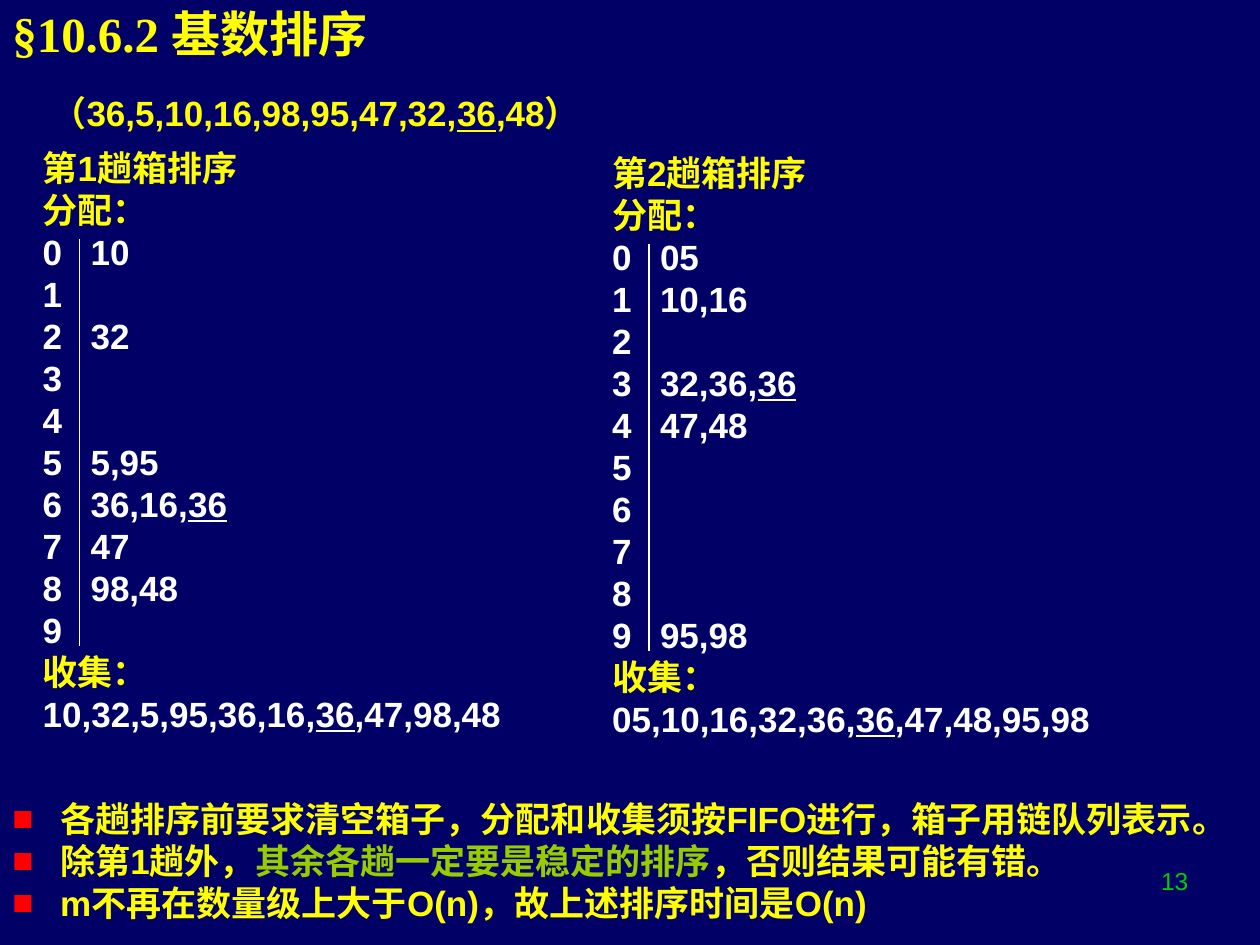
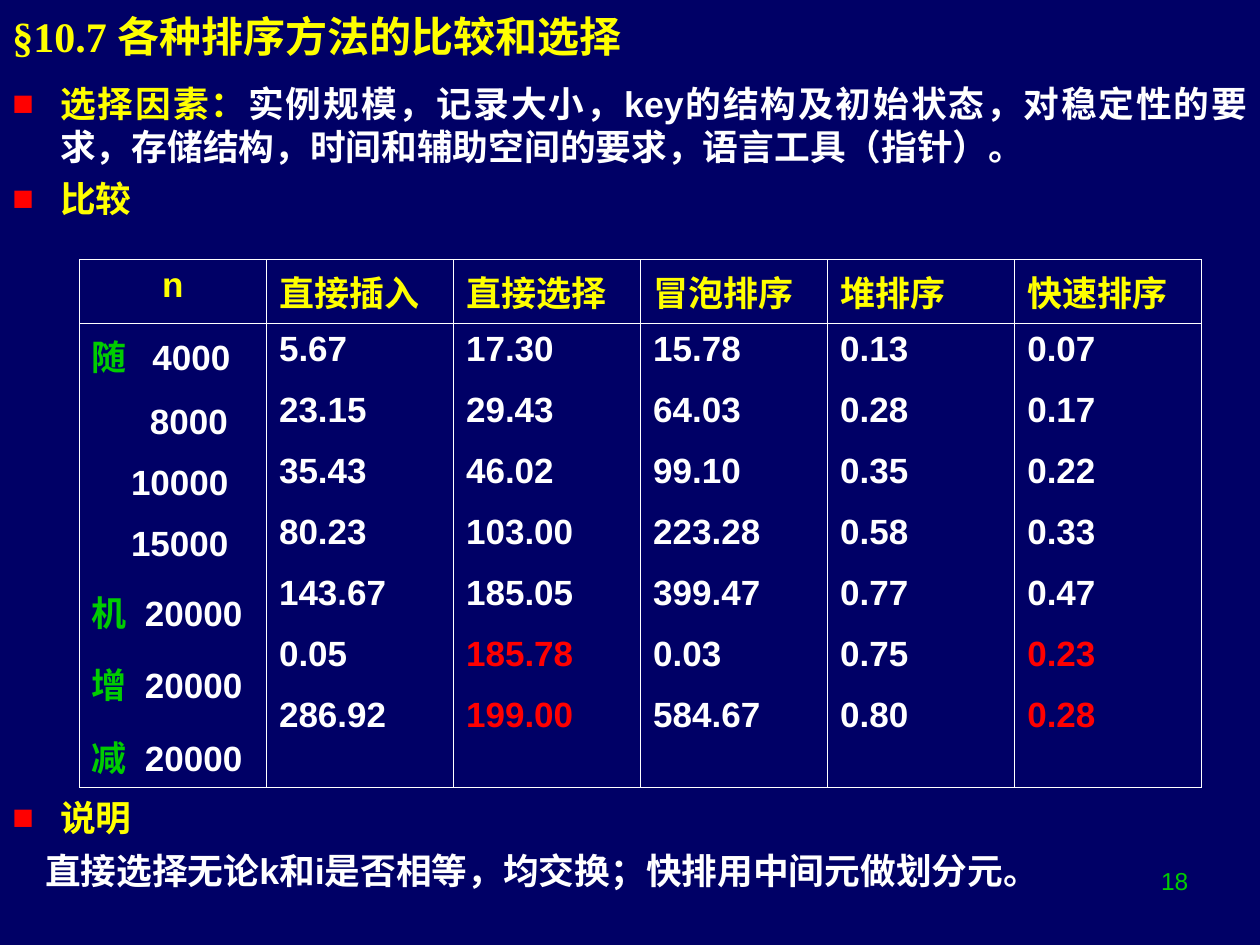
import lxml.etree
import pptx
import pptx.dml.color
import pptx.enum.shapes
import pptx.enum.text
import pptx.oxml.ns
import pptx.util

PX = 9144  # 100 px to the inch
COLORS = {
    "back": "000066",
    "yellow": "FFFF00",
    "white": "FFFFFF",
    "green": "00CC00",
    "lime": "99CC00",
    "red": "FF0000",
}
RGB = {name: pptx.dml.color.RGBColor.from_string(c) for name, c in COLORS.items()}
ALIGN = pptx.enum.text.PP_ALIGN
MIDDLE = pptx.enum.text.MSO_ANCHOR.MIDDLE
STRAIGHT = pptx.enum.shapes.MSO_CONNECTOR.STRAIGHT
Pt = pptx.util.Pt
qn = pptx.oxml.ns.qn
sub = lxml.etree.SubElement


def add_box(s, x, y, w, h):
    tf = s.shapes.add_textbox(x * PX, y * PX, w * PX, h * PX).text_frame
    tf.word_wrap = True
    return tf


def add_par(tf, *runs, size=20, font="Arial", bold=True, align=ALIGN.LEFT,
            before=0, after=0, left=0, hang=0, bullet=False):
    """Each run is (text, colour); a part between underscores is underlined."""
    p = tf.paragraphs[0] if not tf.paragraphs[0].runs else tf.add_paragraph()
    p.alignment = align
    p.space_before, p.space_after = Pt(before), Pt(after)
    if bullet:
        left = hang = 38
    pPr = p._p.get_or_add_pPr()
    pPr.set("marL", str(left * PX))
    pPr.set("indent", str(-hang * PX))
    pPr.set("hangingPunct", "0")
    if bullet:
        sub(sub(pPr, qn("a:buClr")), qn("a:srgbClr"), val=COLORS["red"])
        sub(pPr, qn("a:buFont"), typeface="Arial")
        sub(pPr, qn("a:buChar"), char="■")
    else:
        sub(pPr, qn("a:buNone"))
    for text, color in runs:
        for i, part in enumerate(text.split("_")):
            if part:
                r = p.add_run()
                r.text = part
                r.font.name, r.font.size, r.font.bold = font, Pt(size), bold
                r.font.color.rgb = RGB[color]
                if i % 2:
                    r.font.underline = True


prs = pptx.Presentation()
prs.slide_width, prs.slide_height = 1000 * PX, 750 * PX

# Shared parts: background, slide number, title
slides = []
for number, title, size, height in [
    ("13", "§10.6.2 基数排序", 28, 52),
    ("18", "§10.7 各种排序方法的比较和选择", 24, 56),
]:
    s = prs.slides.add_slide(prs.slide_layouts[6])
    s.background.fill.solid()
    s.background.fill.fore_color.rgb = RGB["back"]
    add_par(add_box(s, 720, 682, 233, 52), (number, "green"),
            size=14, bold=False, align=ALIGN.RIGHT)
    tf = add_box(s, 0, 0, 804, height)
    tf.vertical_anchor = MIDDLE
    add_par(tf, (title, "yellow"), size=size, font="Times New Roman")
    slides.append(s)
radix, compare = slides

# Radix sort: input and the two passes
add_par(add_box(radix, 31, 68, 571, 44),
        ("（36,5,10,16,98,95,47,32,_36_,48）", "yellow"))
passes = [
    (24, 111, "第1趟箱排序",
     {0: "10", 2: "32", 5: "5,95", 6: "36,16,_36_", 7: "47", 8: "98,48"},
     "10,32,5,95,36,16,_36_,47,98,48"),
    (476, 115, "第2趟箱排序",
     {0: "05", 1: "10,16", 3: "32,36,_36_", 4: "47,48", 9: "95,98"},
     "05,10,16,32,36,_36_,47,48,95,98"),
]
for x, y, heading, bins, collected in passes:
    tf = add_box(radix, x, y, 402, 477)
    add_par(tf, (heading, "yellow"))
    add_par(tf, ("分配：", "yellow"))
    for digit in range(10):
        line = f"{digit}\t{bins[digit]}" if digit in bins else str(digit)
        add_par(tf, (line, "white"), left=38, hang=38)
    add_par(tf, ("收集：", "yellow"))
    add_par(tf, (collected, "white"))
    rule = radix.shapes.add_connector(STRAIGHT, (x + 39) * PX, (y + 79) * PX,
                                      (x + 39) * PX, (y + 402) * PX)
    rule.line.color.rgb = RGB["white"]
    rule.line.width = Pt(0.75)
    sub(rule._element.spPr, qn("a:effectLst"))

# Radix sort: remarks
tf = add_box(radix, 0, 628, 1000, 122)
for runs in [
    [("各趟排序前要求清空箱子，分配和收集须按FIFO进行，箱子用链队列表示。", "yellow")],
    [("除第1趟外，", "yellow"), ("其余各趟一定要是稳定的排序", "lime"),
     ("，否则结果可能有错。", "yellow")],
    [("m不再在数量级上大于O(n)，故上述排序时间是O(n)", "yellow")],
]:
    add_par(tf, *runs, bullet=True)

# Comparison: factors and closing note
note = dict(size=20.4, align=ALIGN.JUSTIFY, after=5.5)
tf = add_box(compare, 0, 60, 1000, 126)
add_par(tf, ("选择因素：", "yellow"),
        ("实例规模，记录大小，key的结构及初始状态，对稳定性的要求，"
         "存储结构，时间和辅助空间的要求，语言工具（指针）。", "white"),
        bullet=True, **note)
add_par(tf, ("比较", "yellow"), bullet=True, **note)
tf = add_box(compare, 0, 627, 1000, 86)
add_par(tf, ("说明", "yellow"), bullet=True, **note)
add_par(tf, ("直接选择无论k和i是否相等，均交换；快排用中间元做划分元。", "white"),
        left=26, **note)

# Comparison: table of running times
sizes = [("随", "4000", 48), ("", "8000", 46), ("", "10000", 31), ("", "15000", 31),
         ("机", "20000", 42), ("增", "20000", 42), ("减", "20000", 42)]
times = {
    "直接插入": ["5.67", "23.15", "35.43", "80.23", "143.67", "0.05", "286.92"],
    "直接选择": ["17.30", "29.43", "46.02", "103.00", "185.05", "185.78", "199.00"],
    "冒泡排序": ["15.78", "64.03", "99.10", "223.28", "399.47", "0.03", "584.67"],
    "堆排序": ["0.13", "0.28", "0.35", "0.58", "0.77", "0.75", "0.80"],
    "快速排序": ["0.07", "0.17", "0.22", "0.33", "0.47", "0.23", "0.28"],
}
tbl = compare.shapes.add_table(2, 6, 63 * PX, 206 * PX, 891 * PX, 419 * PX).table
tbl.first_row = tbl.horz_banding = False
tbl.rows[0].height, tbl.rows[1].height = 51 * PX, 368 * PX

add_par(tbl.cell(0, 0).text_frame, ("n", "yellow"), align=ALIGN.CENTER, before=12.5)
for label, n, left in sizes:
    runs = [(label, "green"), ("\t" + n, "white")] if label else [(n, "white")]
    add_par(tbl.cell(1, 0).text_frame, *runs, before=12.5,
            left=left, hang=left if label else 0)
for col, (method, values) in enumerate(times.items(), 1):
    add_par(tbl.cell(0, col).text_frame, (method, "yellow"), before=12.5)
    for row, value in enumerate(values):
        marked = row >= 5 and method in ("直接选择", "快速排序")
        add_par(tbl.cell(1, col).text_frame,
                (value, "red" if marked else "white"), before=12.5)

for cell in tbl.iter_cells():
    tcPr = cell._tc.get_or_add_tcPr()
    for side in ("a:lnL", "a:lnR", "a:lnT", "a:lnB"):
        ln = sub(tcPr, qn(side), w=str(Pt(0.45)))
        sub(sub(ln, qn("a:solidFill")), qn("a:srgbClr"), val=COLORS["white"])
    cell.fill.background()

prs.save("out.pptx")
